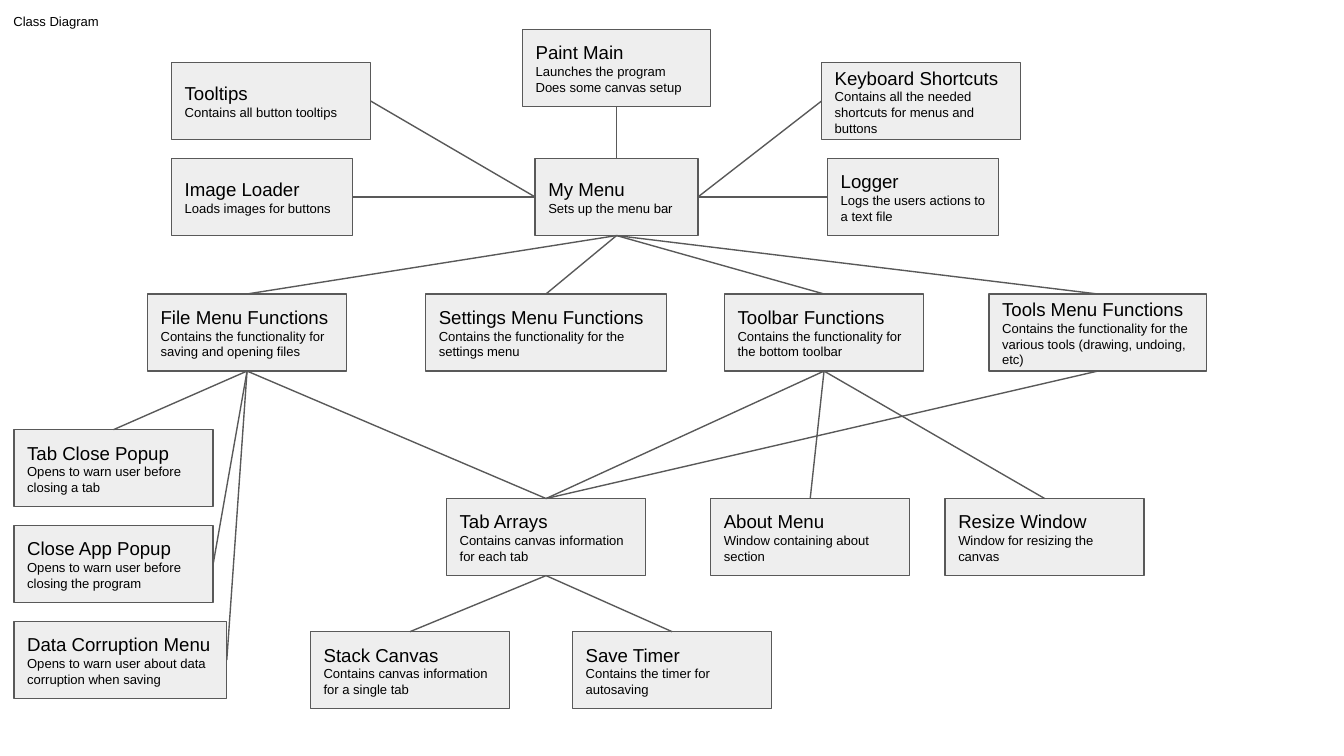
from lxml.etree import SubElement
from pptx import Presentation
from pptx.dml.color import RGBColor
from pptx.enum.shapes import MSO_CONNECTOR, MSO_SHAPE
from pptx.enum.text import MSO_ANCHOR, MSO_AUTO_SIZE, PP_ALIGN
from pptx.oxml.ns import qn
from pptx.util import Pt

FONT = "Arial"
INK, GREY, FILL = "000000", "595959", "EEEEEE"
BOX_W, BOX_H = 106.7, 41.3
PITCH = 51.4
TOP, LEFT, BOTTOM, RIGHT = range(4)


def color(value):
    return RGBColor.from_string(value)


def add_run(p, text, size):
    r = p.add_run()
    r.text = text
    r.font.name = FONT
    r.font.size = Pt(size)
    r.font.color.rgb = color(INK)


def format_frame(tf, anchor):
    tf.word_wrap = True
    tf.auto_size = MSO_AUTO_SIZE.NONE
    tf.vertical_anchor = anchor
    tf.margin_left = tf.margin_right = tf.margin_top = tf.margin_bottom = Pt(7.2)


def add_title(s, left, top, width, height, text):
    sp = s.shapes.title
    sp.left, sp.top, sp.width, sp.height = Pt(left), Pt(top), Pt(width), Pt(height)
    format_frame(sp.text_frame, MSO_ANCHOR.TOP)
    p = sp.text_frame.paragraphs[0]
    p.alignment = PP_ALIGN.LEFT
    p.line_spacing = 1.0
    add_run(p, text, 7)


def add_class(s, left, top, name, *notes, width=BOX_W):
    """Draw one class box: its name above one paragraph for each note."""
    sp = s.shapes.add_shape(MSO_SHAPE.RECTANGLE, Pt(left), Pt(top), Pt(width), Pt(BOX_H))
    sp.shadow.inherit = False
    sp.fill.solid()
    sp.fill.fore_color.rgb = color(FILL)
    sp.line.color.rgb = color(GREY)
    sp.line.width = Pt(0.75)
    tf = sp.text_frame
    format_frame(tf, MSO_ANCHOR.MIDDLE)
    for i, text in enumerate((name, *notes)):
        p = tf.add_paragraph() if i else tf.paragraphs[0]
        p.alignment = PP_ALIGN.LEFT
        add_run(p, text, 7 if i else 10)
    return sp


def link(s, begin, begin_side, end, end_side):
    c = s.shapes.add_connector(MSO_CONNECTOR.STRAIGHT, 0, 0, 0, 0)
    c.begin_connect(begin, begin_side)
    c.end_connect(end, end_side)
    c.line.color.rgb = color(GREY)
    c.line.width = Pt(0.75)
    SubElement(c._element.spPr, qn("a:effectLst"))


def add_core(s, left, top):
    """Place the main menu and its helpers, and return the menu."""
    upper, lower = top + 17.7, top + 17.7 + PITCH
    main = add_class(s, left + 188, top, "Paint Main", "Launches the program",
                     "Does some canvas setup", width=100.8)
    menu = add_class(s, left + 194.8, lower, "My Menu", "Sets up the menu bar", width=87.2)
    tooltips = add_class(s, left, upper, "Tooltips", "Contains all button tooltips")
    loader = add_class(s, left, lower, "Image Loader", "Loads images for buttons", width=97)
    shortcuts = add_class(s, left + 348.2, upper, "Keyboard Shortcuts",
                          "Contains all the needed shortcuts for menus and buttons")
    logger = add_class(s, left + 351.4, lower, "Logger",
                       "Logs the users actions to a text file", width=91.6)
    link(s, main, BOTTOM, menu, TOP)
    for helper in (tooltips, loader):
        link(s, helper, RIGHT, menu, LEFT)
    for helper in (shortcuts, logger):
        link(s, helper, LEFT, menu, RIGHT)
    return menu


def add_functions(s, left, top, menu):
    """Place the row of function classes under the menu, and return them."""
    files = add_class(s, left, top, "File Menu Functions",
                      "Contains the functionality for saving and opening files")
    settings = add_class(s, left + 149, top, "Settings Menu Functions",
                         "Contains the functionality for the settings menu", width=129)
    toolbar = add_class(s, left + 309.1, top, "Toolbar Functions",
                        "Contains the functionality for the bottom toolbar")
    tools = add_class(s, left + 450.8, top, "Tools Menu Functions",
                      "Contains the functionality for the various tools (drawing, undoing, etc)",
                      width=116.6)
    for child in (files, settings, toolbar, tools):
        link(s, child, TOP, menu, BOTTOM)
    return files, toolbar, tools


def add_popups(s, left, top, files):
    popups = [
        ("Tab Close Popup", "Opens to warn user before closing a tab", BOX_W, TOP),
        ("Close App Popup", "Opens to warn user before closing the program", BOX_W, RIGHT),
        ("Data Corruption Menu", "Opens to warn user about data corruption when saving",
         114, RIGHT),
    ]
    for i, (name, note, width, side) in enumerate(popups):
        popup = add_class(s, left, top + i * PITCH, name, note, width=width)
        link(s, popup, side, files, BOTTOM)


def add_windows(s, left, top, files, toolbar, tools):
    """Place the tab arrays and toolbar windows, and return the tab arrays."""
    tabs = add_class(s, left, top, "Tab Arrays", "Contains canvas information for each tab")
    about = add_class(s, left + 141.5, top, "About Menu", "Window containing about section")
    resize = add_class(s, left + 267.1, top, "Resize Window", "Window for resizing the canvas")
    for parent in (files, toolbar, tools):
        link(s, tabs, TOP, parent, BOTTOM)
    for window in (about, resize):
        link(s, window, TOP, toolbar, BOTTOM)
    return tabs


def add_tab_parts(s, left, top, tabs):
    canvas = add_class(s, left, top, "Stack Canvas", "Contains canvas information for a single tab")
    timer = add_class(s, left + 140.4, top, "Save Timer", "Contains the timer for autosaving")
    for part in (canvas, timer):
        link(s, part, TOP, tabs, BOTTOM)


def main():
    prs = Presentation()
    prs.slide_width, prs.slide_height = Pt(720), Pt(405)
    s = prs.slides.add_slide(prs.slide_layouts[5])
    add_title(s, 0, 0, 210, 23, "Class Diagram")
    menu = add_core(s, 91.9, 15.8)
    files, toolbar, tools = add_functions(s, 79, 157.5, menu)
    add_popups(s, 7.5, 230.2, files)
    tabs = add_windows(s, 239.2, 267.1, files, toolbar, tools)
    add_tab_parts(s, 166.3, 338.4, tabs)
    prs.save("out.pptx")


if __name__ == "__main__":
    main()
